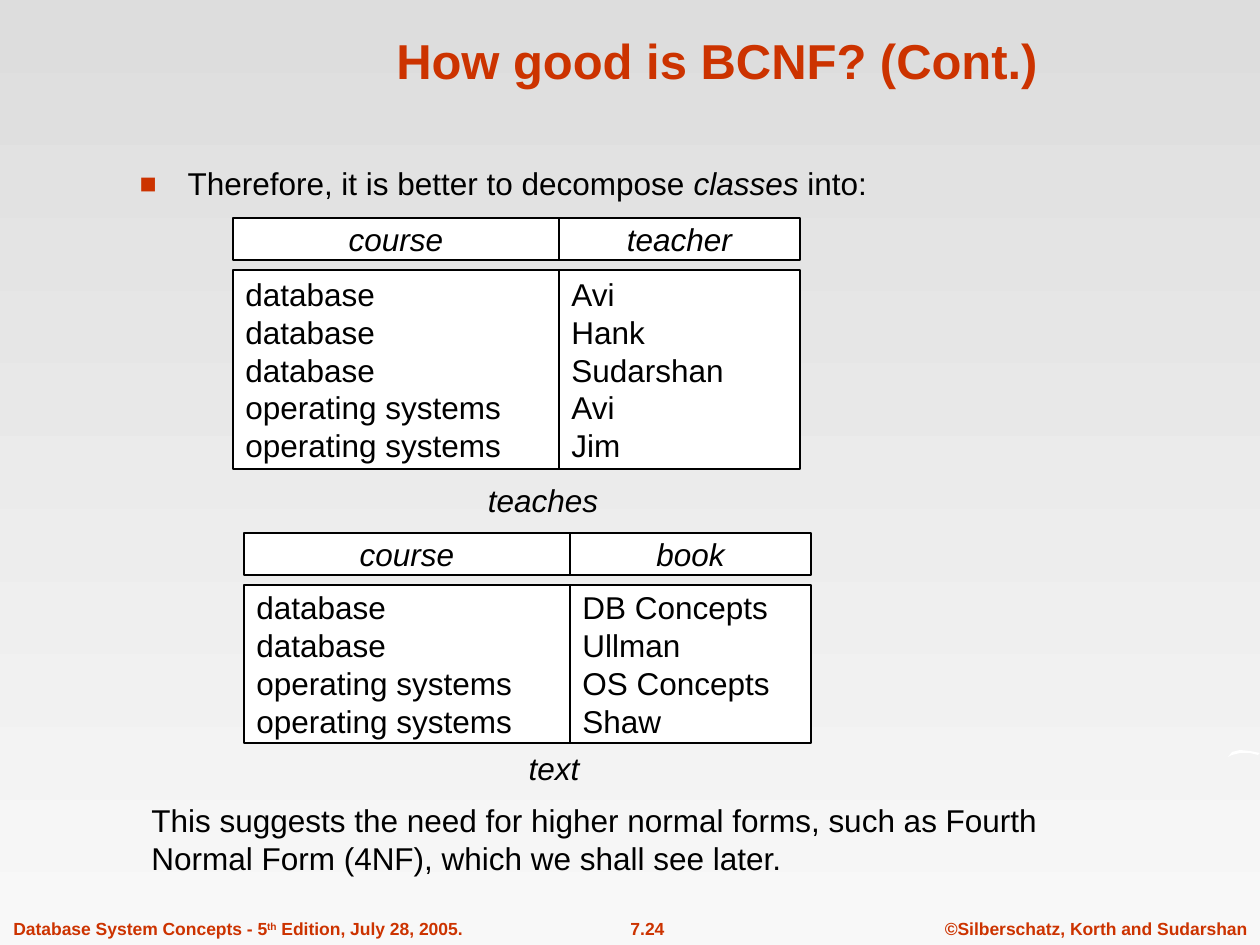
from dataclasses import dataclass

from lxml.etree import SubElement
from pptx import Presentation
from pptx.dml.color import RGBColor
from pptx.enum.shapes import MSO_SHAPE as Shape
from pptx.enum.text import MSO_ANCHOR as Anchor, MSO_AUTO_SIZE as AutoSize, PP_ALIGN as Align
from pptx.oxml.ns import qn
from pptx.util import Pt


@dataclass(frozen=True)
class Theme:
    font: str = "Arial"
    accent: str = "CC3300"
    text: str = "000000"
    paper: str = "FFFFFF"
    background: tuple = ("DDDDDD", "F8F8F8")
    title_size: int = 28
    body_size: int = 18
    footer_size: int = 10
    line_width: float = 0.75


THEME = Theme()
SCALE = 914400 / 126
SLIDE_SIZE = (1260, 945)

TITLE = "How good is BCNF? (Cont.)"
TITLE_BOX = (226, 16, 982, 80)
LEAD = [("Therefore, it is better to decompose ", ""), ("classes ", "italic"), ("into:", "")]
LEAD_BOX = (127, 158, 926, 73)
CLOSING = ("This suggests the need for higher normal forms, such as Fourth "
           "Normal Form (4NF), which we shall see later.")
CLOSING_BOX = (139, 795, 926, 73)

RELATIONS = [
    {
        "name": "teaches", "left": 233, "top": 218, "body_height": 199,
        "caption_top": 475, "caption_width": 135,
        "columns": {
            "course": ["database"] * 3 + ["operating systems"] * 2,
            "teacher": ["Avi", "Hank", "Sudarshan", "Avi", "Jim"],
        },
    },
    {
        "name": "text", "left": 244, "top": 533, "body_height": 158,
        "caption_top": 743, "caption_width": 76,
        "columns": {
            "course": ["database"] * 2 + ["operating systems"] * 2,
            "book": ["DB Concepts", "Ullman", "OS Concepts", "Shaw"],
        },
    },
]
COLUMN_WIDTHS = (326, 241)
HEADER_HEIGHT = 42
BODY_OFFSET = 52
CAPTION_CENTER = 310
CAPTION_HEIGHT = 50

FOOTERS = [
    ([("Database System Concepts - 5", "bold"), ("th", "bold superscript"),
      (" Edition, July 28, 2005.", "bold")], (1, 912, 479, 34), Align.LEFT),
    ([("7.24", "bold")], (586, 912, 123, 34), Align.CENTER),
    ([("©Silberschatz, Korth and Sudarshan", "bold")], (932, 912, 328, 34), Align.CENTER),
]
EDGE_CURVE = [(1228, 757), (1232, 752), (1240, 750), (1250, 751), (1260, 753),
              (1258, 755), (1250, 753), (1240, 753), (1232, 755)]


def px(value):
    return round(value * SCALE)


def color(value):
    return RGBColor.from_string(value)


def place(shape, box):
    shape.left, shape.top, shape.width, shape.height = map(px, box)


def write(shape, paragraphs, size=THEME.body_size, ink=THEME.text,
          align=Align.LEFT, anchor=Anchor.TOP, wrap=True):
    frame = shape.text_frame
    frame.auto_size = AutoSize.NONE
    frame.word_wrap = wrap
    frame.vertical_anchor = anchor
    for index, runs in enumerate(paragraphs):
        paragraph = frame.add_paragraph() if index else frame.paragraphs[0]
        paragraph.alignment = align
        paragraph.space_before = Pt(0)
        for text, style in runs:
            run = paragraph.add_run()
            run.text = text
            run.font.name = THEME.font
            run.font.size = Pt(size)
            run.font.color.rgb = color(ink)
            run.font.bold = "bold" in style
            run.font.italic = "italic" in style
            if "superscript" in style:
                run._r.get_or_add_rPr().set("baseline", "30000")


def add_text(slide, box, paragraphs, **options):
    shape = slide.shapes.add_textbox(*map(px, box))
    write(shape, paragraphs, **options)


def add_cell(slide, box, paragraphs, align=Align.LEFT):
    shape = slide.shapes.add_shape(Shape.RECTANGLE, *map(px, box))
    shape.shadow.inherit = False
    shape.fill.solid()
    shape.fill.fore_color.rgb = color(THEME.paper)
    shape.line.color.rgb = color(THEME.text)
    shape.line.width = Pt(THEME.line_width)
    write(shape, paragraphs, align=align, anchor=Anchor.MIDDLE)


def add_relation(slide, relation):
    left, top = relation["left"], relation["top"]
    for (heading, values), width in zip(relation["columns"].items(), COLUMN_WIDTHS):
        add_cell(slide, (left, top, width, HEADER_HEIGHT), [[(heading, "italic")]], Align.CENTER)
        add_cell(slide, (left, top + BODY_OFFSET, width, relation["body_height"]),
                 [[(value, "")] for value in values])
        left += width
    caption_width = relation["caption_width"]
    caption_left = relation["left"] + CAPTION_CENTER - caption_width / 2
    add_text(slide, (caption_left, relation["caption_top"], caption_width, CAPTION_HEIGHT),
             [[(relation["name"], "italic")]], align=Align.CENTER, anchor=Anchor.MIDDLE,
             wrap=False)


def add_bullet(paragraph):
    properties = paragraph._p.get_or_add_pPr()
    properties.set("marL", str(px(48)))
    properties.set("indent", str(px(-48)))
    bullet_color = SubElement(properties, qn("a:buClr"))
    SubElement(bullet_color, qn("a:srgbClr"), val=THEME.accent)
    SubElement(properties, qn("a:buSzPct"), val="90000")
    SubElement(properties, qn("a:buFont"), typeface=THEME.font)
    SubElement(properties, qn("a:buChar"), char="■")


def add_edge_curve(slide):
    builder = slide.shapes.build_freeform(*EDGE_CURVE[0], scale=SCALE)
    builder.add_line_segments(EDGE_CURVE[1:], close=True)
    curve = builder.convert_to_shape()
    curve.shadow.inherit = False
    curve.fill.solid()
    curve.fill.fore_color.rgb = color(THEME.paper)
    curve.line.fill.background()


def main():
    presentation = Presentation()
    presentation.slide_width, presentation.slide_height = map(px, SLIDE_SIZE)
    slide = presentation.slides.add_slide(presentation.slide_layouts[1])

    background = slide.background.fill
    background.gradient()
    background.gradient_angle = 270
    for stop, shade in zip(background.gradient_stops, THEME.background):
        stop.color.rgb = color(shade)

    title, body = slide.shapes.title, slide.placeholders[1]
    place(title, TITLE_BOX)
    write(title, [[(TITLE, "bold")]], size=THEME.title_size, ink=THEME.accent,
          align=Align.CENTER, anchor=Anchor.BOTTOM)
    place(body, LEAD_BOX)
    write(body, [LEAD])
    add_bullet(body.text_frame.paragraphs[0])

    add_edge_curve(slide)
    for relation in RELATIONS:
        add_relation(slide, relation)
    add_text(slide, CLOSING_BOX, [[(CLOSING, "")]])
    for runs, box, align in FOOTERS:
        add_text(slide, box, [runs], size=THEME.footer_size, ink=THEME.accent,
                 align=align, wrap=False)

    presentation.save("out.pptx")


if __name__ == "__main__":
    main()
